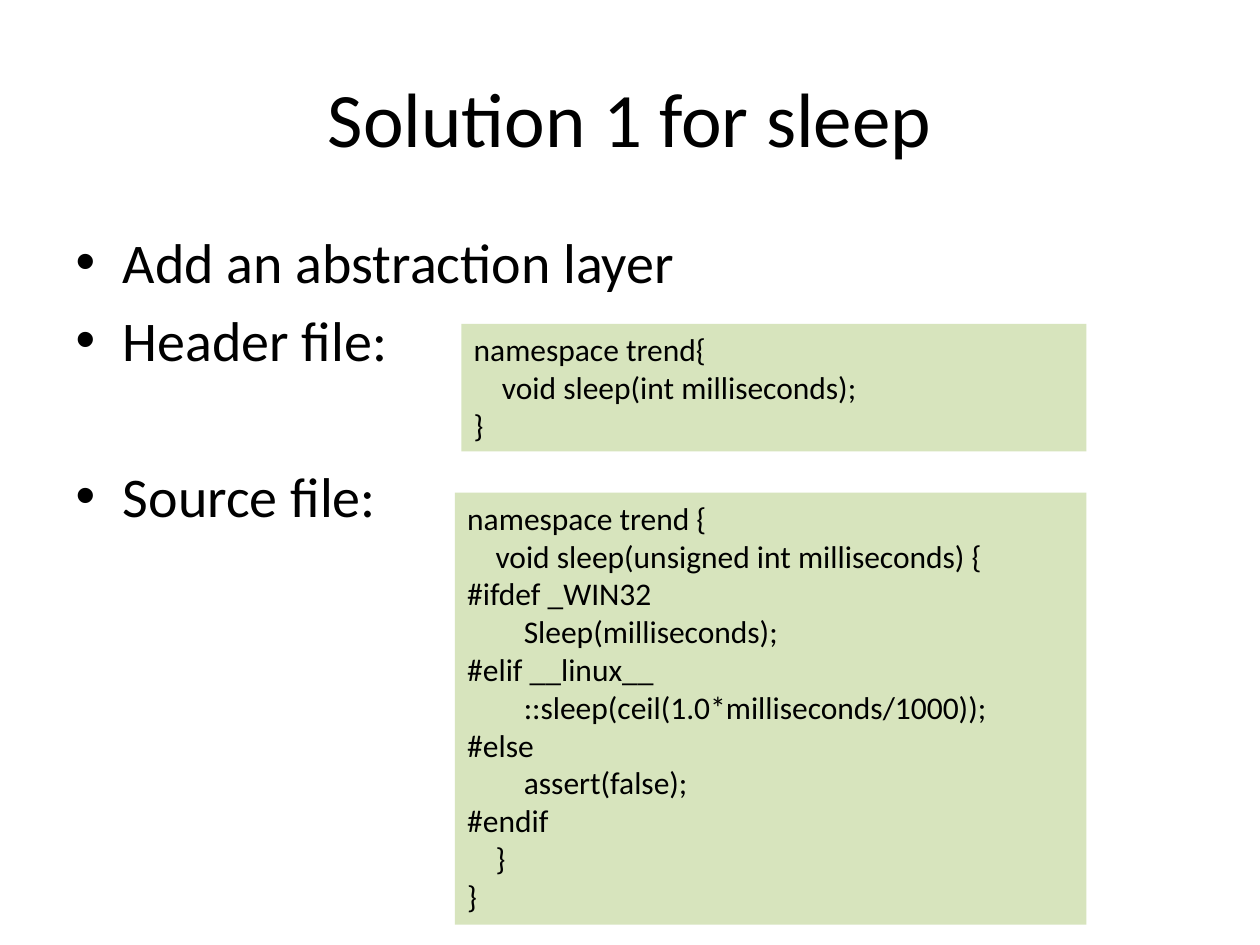
from pptx import Presentation
from pptx.dml.color import RGBColor
from pptx.enum.text import MSO_ANCHOR, MSO_AUTO_SIZE, PP_ALIGN
from pptx.util import Cm, Pt

BLACK = RGBColor(0x00, 0x00, 0x00)
PALE_GREEN = RGBColor(0xD7, 0xE4, 0xBD)
LEFT, CENTER = PP_ALIGN.LEFT, PP_ALIGN.CENTER
MIDDLE = MSO_ANCHOR.MIDDLE
GROW = MSO_AUTO_SIZE.SHAPE_TO_FIT_TEXT
CODE_INDENT = Cm(0.57)


def place(shape, left, top, width, height):
    frame = {"left": left, "top": top, "width": width, "height": height}
    for name, value in frame.items():
        setattr(shape, name, Cm(value))


def write(text_frame, lines, size, alignment):
    text_frame.text = "\n".join(lines)
    font_format = {"name": "Calibri", "size": Pt(size)}
    for paragraph in text_frame.paragraphs:
        paragraph.alignment = alignment
        for span in paragraph.runs:
            for name, value in font_format.items():
                setattr(span.font, name, value)
            span.font.color.rgb = BLACK


deck = Presentation()
deck.slide_width = Cm(25.4)
deck.slide_height = Cm(19.05)
page = deck.slides.add_slide(deck.slide_layouts[1])

title = page.shapes.title
place(title, 1.27, 0.76, 22.86, 3.18)
title.text_frame.vertical_anchor = MIDDLE
write(title.text_frame, ["Solution 1 for sleep"], 44, CENTER)

body = page.placeholders[1]
place(body, 1.27, 4.45, 22.86, 12.57)
topics = ["Add an abstraction layer", "Header file:", "Source file:"]
write(body.text_frame, topics, 32, LEFT)
body.text_frame.paragraphs[-1].space_before = Pt(50.7)

header_code = [
    (0, "namespace trend{"),
    (1, "void sleep(int milliseconds);"),
    (0, "}"),
]
source_code = [
    (0, "namespace trend {"),
    (1, "void sleep(unsigned int milliseconds) {"),
    (0, "#ifdef _WIN32"),
    (2, "Sleep(milliseconds);"),
    (0, "#elif __linux__"),
    (2, "::sleep(ceil(1.0*milliseconds/1000));"),
    (0, "#else"),
    (2, "assert(false);"),
    (0, "#endif"),
    (1, "}"),
    (0, "}"),
]
code_boxes = [
    ((9.3, 6.53, 12.6, 2.57), header_code),
    ((9.17, 9.93, 12.73, 8.71), source_code),
]

for position, code in code_boxes:
    box = page.shapes.add_textbox(*map(Cm, position))
    box.fill.solid()
    box.fill.fore_color.rgb = PALE_GREEN
    box.text_frame.word_wrap = True
    box.text_frame.auto_size = GROW
    write(box.text_frame, [line for depth, line in code], 18, LEFT)
    for paragraph, (depth, line) in zip(box.text_frame.paragraphs, code):
        properties = paragraph._p.get_or_add_pPr()
        properties.set("marL", str(depth * CODE_INDENT))
        properties.set("indent", "0")

deck.save("out.pptx")
